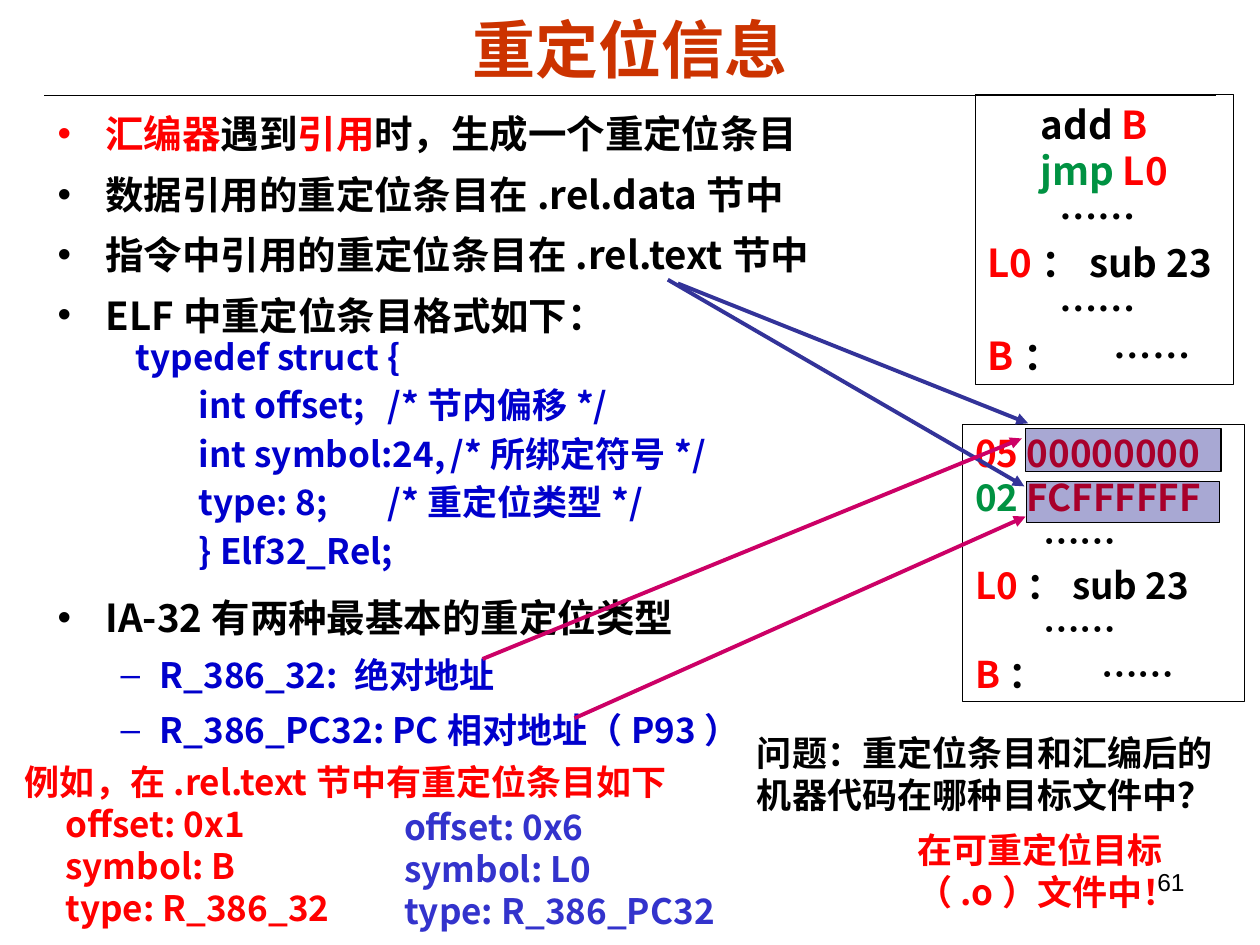
from dataclasses import dataclass

from lxml.etree import SubElement
from pptx import Presentation
from pptx.dml.color import RGBColor
from pptx.enum.shapes import MSO_CONNECTOR, MSO_SHAPE
from pptx.enum.text import MSO_ANCHOR, PP_ALIGN
from pptx.oxml.ns import qn
from pptx.util import Inches, Pt


@dataclass(frozen=True)
class Theme:
    black: str = "000000"
    red: str = "FF0000"
    green: str = "009242"
    blue: str = "0000CC"
    violet: str = "3333CC"
    title: str = "CC3300"
    navy_arrow: str = "333399"
    pink_arrow: str = "CC0066"
    highlight: str = "000080"
    sans: str = "Arial"
    chinese: str = "Noto Sans CJK SC"
    title_size: int = 36
    body_size: int = 22
    listing_size: int = 21
    detail_size: int = 20
    number_size: int = 14


theme = Theme()
presentation = Presentation()
presentation.slide_width = Inches(10)
presentation.slide_height = Inches(7.5)
slide = presentation.slides.add_slide(presentation.slide_layouts[6])


def add_text_frame(left, top, width, height):
    box = slide.shapes.add_textbox(Inches(left), Inches(top), Inches(width), Inches(height))
    box.text_frame.word_wrap = True
    return box.text_frame


def write(frame, text, size=theme.detail_size, color=theme.black, font=theme.chinese,
          bold=True, align=PP_ALIGN.LEFT, space=0, spacing=None, indent=0, hanging=0,
          bullet=None, bullet_color=theme.black, tabs=()):
    """Append one paragraph; text is a string or a list of (text, colour) runs."""
    first = not frame.text
    paragraph = frame.paragraphs[0] if first else frame.add_paragraph()
    properties = paragraph._p.get_or_add_pPr()
    properties.set("marL", str(Inches(indent)))
    properties.set("indent", str(-Inches(hanging)))
    if bullet:
        bullet_fill = SubElement(properties, qn("a:buClr"))
        SubElement(bullet_fill, qn("a:srgbClr"), val=bullet_color)
        SubElement(properties, qn("a:buFont"), typeface=theme.sans)
        SubElement(properties, qn("a:buChar"), char=bullet)
    if tabs:
        tab_list = SubElement(properties, qn("a:tabLst"))
        for position in tabs:
            SubElement(tab_list, qn("a:tab"), pos=str(Inches(position)), algn="l")
    paragraph.alignment = align
    paragraph.space_before = Pt(0 if first else space)
    if spacing:
        paragraph.line_spacing = spacing
    for words, run_color in [(text, color)] if isinstance(text, str) else text:
        run = paragraph.add_run()
        run.text = words
        run.font.size = Pt(size)
        run.font.bold = bold
        run.font.name = font
        run.font.color.rgb = RGBColor.from_string(run_color)
        SubElement(run._r.get_or_add_rPr(), qn("a:ea"), typeface=font)


# Title and rule
title = add_text_frame(0.5, 0.08, 9, 0.61)
title.vertical_anchor = MSO_ANCHOR.MIDDLE
write(title, "重定位信息", size=theme.title_size, color=theme.title, font=theme.sans,
      align=PP_ALIGN.CENTER)

# Bulleted points above and below the structure definition
point = dict(size=theme.body_size, space=5.5, spacing=1.1, indent=0.38, hanging=0.38, bullet="•")
points = add_text_frame(0.36, 0.79, 7.3, 2)
write(points, [("汇编器", theme.red), ("遇到", theme.black), ("引用", theme.red),
               ("时，生成一个重定位条目", theme.black)], bullet_color=theme.red, **point)
for text in ("数据引用的重定位条目在.rel.data节中", "指令中引用的重定位条目在.rel.text节中",
             "ELF中重定位条目格式如下："):
    write(points, text, **point)

types = add_text_frame(0.36, 4.63, 7.2, 1.4)
write(types, "IA-32有两种最基本的重定位类型", **point)
for text in ("R_386_32: 绝对地址", "R_386_PC32: PC相对地址（P93）"):
    write(types, text, color=theme.blue, space=5, spacing=1.1, indent=0.81, hanging=0.31,
          bullet="–", bullet_color=theme.blue)

# Structure definition, with the comments on tab stops
structure = add_text_frame(0.98, 2.61, 5.6, 1.98)
for text, tabs in (
    ("typedef struct {", ()),
    ("\tint offset;\t/*节内偏移*/", (1, 3.01)),
    ("\tint symbol:24,\t/*所绑定符号*/", (1, 3.14)),
    ("\ttype: 8;\t/*重定位类型*/", (1.26, 2.73)),
    ("\t} Elf32_Rel;", (1,)),
):
    write(structure, text, color=theme.blue, space=3.7, tabs=tabs)

# Example entries
example = add_text_frame(0.1, 5.99, 5.36, 1.44)
write(example, "例如，在.rel.text节中有重定位条目如下", color=theme.red)
for text in ("offset: 0x1", "symbol: B", "type: R_386_32"):
    write(example, text, color=theme.red, indent=0.32)

second_entry = add_text_frame(3.11, 6.34, 4.06, 1.1)
for text in ("offset: 0x6", "symbol: L0", "type: R_386_PC32"):
    write(second_entry, text, color=theme.violet)

# Assembly source and machine code, sharing the same last four lines
assembly = [[("add ", theme.black), ("B", theme.red)], [("jmp ", theme.green), ("L0", theme.red)]]
machine = [[("05 00000000", theme.red)], [("02 ", theme.green), ("FCFFFFFF", theme.red)]]
for (left, top, width, height), opening, size, opening_indent, dots_indent, dots_tab in (
    ((7.74, 0.75, 2.05, 2.3), assembly, theme.body_size, 0.42, 0.57, 0.75),
    ((7.64, 3.37, 2.24, 2.2), machine, theme.listing_size, 0, 0.54, 0.7),
):
    listing = slide.shapes.add_shape(MSO_SHAPE.RECTANGLE, Inches(left), Inches(top),
                                     Inches(width), Inches(height))
    listing.shadow.inherit = False
    listing.fill.background()
    listing.line.color.rgb = RGBColor.from_string(theme.black)
    listing.line.width = Pt(0.75)
    frame = listing.text_frame
    frame.word_wrap = True
    frame.vertical_anchor = MSO_ANCHOR.TOP
    for runs in opening:
        write(frame, runs, size=size, indent=opening_indent)
    write(frame, "……", size=size, indent=dots_indent)
    write(frame, [("L0", theme.red), ("：sub 23", theme.black)], size=size)
    write(frame, "……", size=size, indent=dots_indent)
    write(frame, [("B", theme.red), ("：\t……", theme.black)], size=size, tabs=(dots_tab,))

# Translucent highlights over the relocated addresses
for left, top, width, height in ((8.14, 3.4, 1.55, 0.34), (8.15, 3.82, 1.53, 0.33)):
    highlight = slide.shapes.add_shape(MSO_SHAPE.RECTANGLE, Inches(left), Inches(top),
                                       Inches(width), Inches(height))
    highlight.shadow.inherit = False
    highlight.fill.solid()
    highlight.fill.fore_color.rgb = RGBColor.from_string(theme.highlight)
    fill_color = highlight.fill._xPr.find(qn("a:solidFill"))[0]
    SubElement(fill_color, qn("a:alpha"), val="34000")
    highlight.line.color.rgb = RGBColor.from_string(theme.black)
    highlight.line.width = Pt(0.75)

# Title rule and arrows to the highlighted addresses
for start_x, start_y, end_x, end_y, color, width, has_arrowhead in (
    (0.35, 0.76, 9.65, 0.76, theme.black, 0.75, False),
    (5.3, 2.22, 8.13, 3.86, theme.navy_arrow, 2.25, True),
    (5.38, 2.25, 8.16, 3.36, theme.navy_arrow, 2.25, True),
    (3.83, 5.23, 8.11, 3.48, theme.pink_arrow, 2.25, True),
    (4.56, 5.7, 8.14, 4.1, theme.pink_arrow, 2.25, True),
):
    connector = slide.shapes.add_connector(MSO_CONNECTOR.STRAIGHT, Inches(start_x),
                                           Inches(start_y), Inches(end_x), Inches(end_y))
    connector.line.color.rgb = RGBColor.from_string(color)
    connector.line.width = Pt(width)
    if has_arrowhead:
        SubElement(connector.line._get_or_add_ln(), qn("a:tailEnd"), type="triangle")
    SubElement(connector._element.spPr, qn("a:effectLst"))

# Question, answer and slide number
write(add_text_frame(5.91, 5.76, 4.03, 0.77),
      "问题：重定位条目和汇编后的机器代码在哪种目标文件中？", font=theme.sans)
write(add_text_frame(7.18, 6.53, 2.36, 0.77), "在可重定位目标（.o）文件中！", color=theme.red)
write(add_text_frame(7.17, 6.83, 2.33, 0.52), "61", size=theme.number_size, font=theme.sans,
      bold=False, align=PP_ALIGN.RIGHT)

presentation.save("out.pptx")
